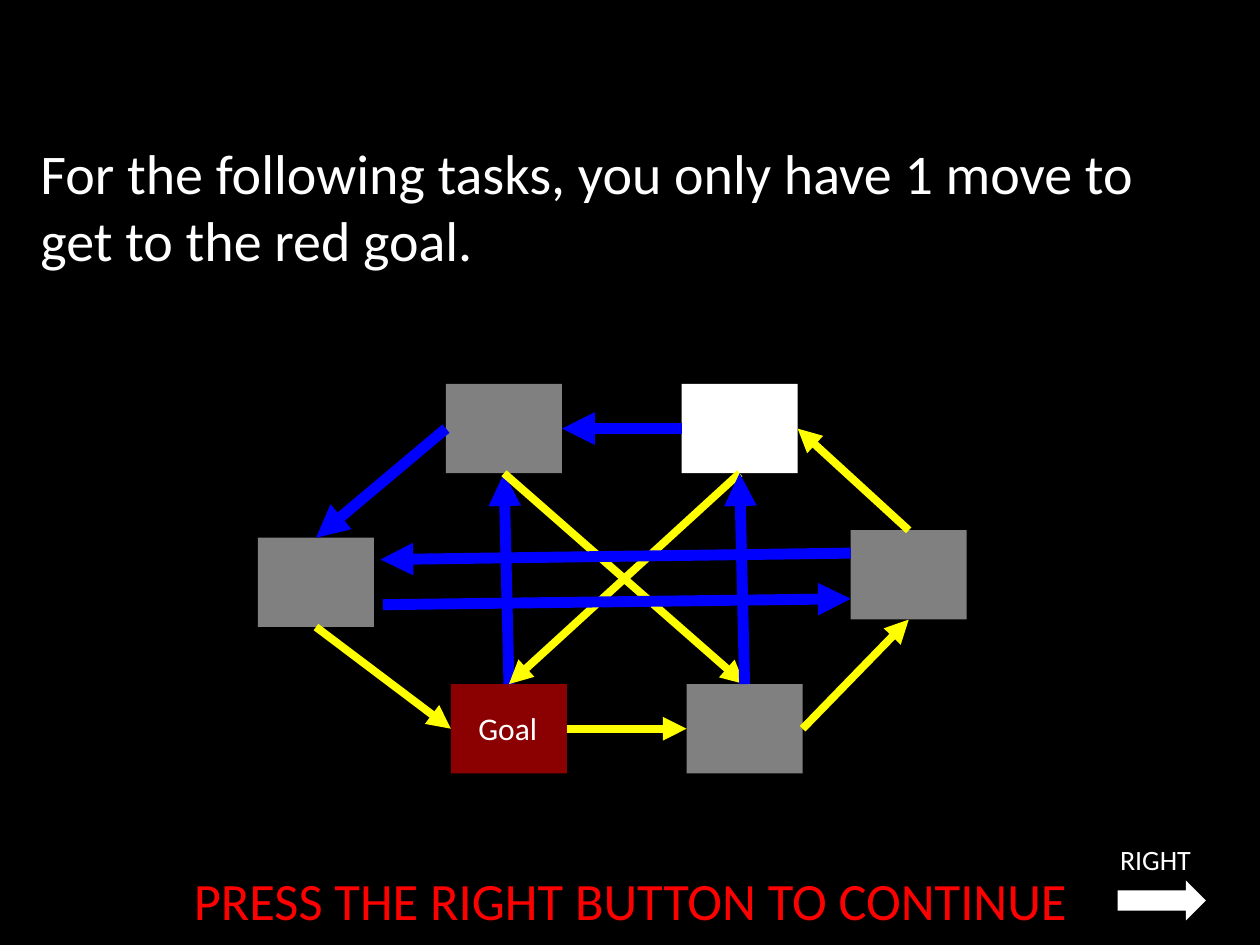
from pptx import Presentation, util as u
from pptx.dml.color import RGBColor
from pptx.enum import shapes, text
from pptx.oxml.ns import qn
from lxml import etree

BLACK = RGBColor(0x00, 0x00, 0x00)
WHITE = RGBColor(0xFF, 0xFF, 0xFF)
GREY = RGBColor(0x80, 0x80, 0x80)
RED = RGBColor(0xFF, 0x00, 0x00)
DARK_RED = RGBColor(0x8B, 0x00, 0x00)
BLUE = RGBColor(0x00, 0x00, 0xFF)
YELLOW = RGBColor(0xFF, 0xFF, 0x00)

FONT = "Calibri"
WIDTHS = {BLUE: 6.25, YELLOW: 4.5}
TOP, LEFT, BOTTOM, RIGHT = range(4)
TILE_WIDTH, TILE_HEIGHT = 2.34, 1.8

TILES = {
    "upper left": (8.99, 7.74, GREY),
    "upper right": (13.74, 7.74, WHITE),
    "far right": (17.15, 10.69, GREY),
    "far left": (5.2, 10.84, GREY),
    "goal": (9.09, 13.79, DARK_RED),
    "lower right": (13.84, 13.79, GREY),
}

MOVES = [
    ("upper left", LEFT, "far left", TOP, BLUE),
    ("far left", BOTTOM, "goal", LEFT, YELLOW),
    ("goal", TOP, "upper left", BOTTOM, BLUE),
    ("goal", RIGHT, "lower right", LEFT, YELLOW),
    ("lower right", RIGHT, "far right", BOTTOM, YELLOW),
    ("far right", TOP, "upper right", RIGHT, YELLOW),
    ("upper right", LEFT, "upper left", RIGHT, BLUE),
    ("upper right", BOTTOM, "goal", TOP, YELLOW),
    ("upper left", BOTTOM, "lower right", TOP, YELLOW),
    ("lower right", TOP, "upper right", BOTTOM, BLUE),
]

CROSSINGS = [
    (17.15, 11.15, 7.67, 11.28),
    (7.72, 12.19, 17.15, 12.07),
]


def cm(*lengths):
    return [u.Cm(length) for length in lengths]


def style_text(box, words, size, color, align):
    box.text_frame.word_wrap = True
    para = box.text_frame.paragraphs[0]
    para.text = words
    para.alignment = align
    para.space_before = u.Pt(0)
    font = para.runs[0].font
    font.name, font.size, font.color.rgb = FONT, u.Pt(size), color
    return para


def add_instruction(page, words):
    page.shapes.title.element.getparent().remove(page.shapes.title.element)
    body = page.placeholders[1]
    body.left, body.top, body.width, body.height = cm(0.56, 2.67, 24.26, 5.23)
    para = style_text(body, words, 32, WHITE, text.PP_ALIGN.LEFT)
    properties = para._p.get_or_add_pPr()
    properties.set("marL", "0")
    properties.set("indent", "0")
    etree.SubElement(properties, qn("a:buNone"))


def add_label(page, words, place, size, color, anchor=text.MSO_ANCHOR.TOP):
    box = page.shapes.add_textbox(*cm(*place))
    box.text_frame.vertical_anchor = anchor
    style_text(box, words, size, color, text.PP_ALIGN.CENTER)


def add_solid(page, kind, place, color):
    shape = page.shapes.add_shape(kind, *cm(*place))
    shape.shadow.inherit = False
    shape.fill.solid()
    shape.fill.fore_color.rgb = color
    shape.line.fill.background()
    return shape


def add_arrow(page, ends, color):
    arrow = page.shapes.add_connector(shapes.MSO_CONNECTOR.STRAIGHT, *cm(*ends))
    arrow.line.color.rgb = color
    arrow.line.width = u.Pt(WIDTHS[color])
    etree.SubElement(arrow.line._get_or_add_ln(), qn("a:tailEnd"), type="triangle")
    etree.SubElement(arrow.element.spPr, qn("a:effectLst"))
    return arrow


def add_maze(page):
    tiles = {
        name: add_solid(page, shapes.MSO_SHAPE.RECTANGLE,
                        (left, top, TILE_WIDTH, TILE_HEIGHT), color)
        for name, (left, top, color) in TILES.items()
    }
    for start, start_side, finish, finish_side, color in MOVES:
        arrow = add_arrow(page, (0, 0, 1, 1), color)
        arrow.begin_connect(tiles[start], start_side)
        arrow.end_connect(tiles[finish], finish_side)
    for ends in CROSSINGS:
        add_arrow(page, ends, BLUE)
    add_label(page, "Goal", (9.09, 14.17, 2.29, 1.02), 18, WHITE)


def main():
    deck = Presentation()
    deck.slide_width, deck.slide_height = cm(25.4, 19.05)
    page = deck.slides.add_slide(deck.slide_layouts[1])
    page.background.fill.solid()
    page.background.fill.fore_color.rgb = BLACK

    add_instruction(page, "For the following tasks, you only have 1 move "
                          "to get to the red goal.")
    add_label(page, "PRESS THE RIGHT BUTTON TO CONTINUE", (0, 17.22, 25.43, 1.83),
              30, RED, text.MSO_ANCHOR.MIDDLE)
    add_label(page, "RIGHT", (21.16, 16.87, 4.27, 2.24), 16, WHITE)
    add_solid(page, shapes.MSO_SHAPE.RIGHT_ARROW, (22.53, 17.75, 1.78, 0.81), WHITE)
    add_maze(page)
    deck.save("out.pptx")


if __name__ == "__main__":
    main()
